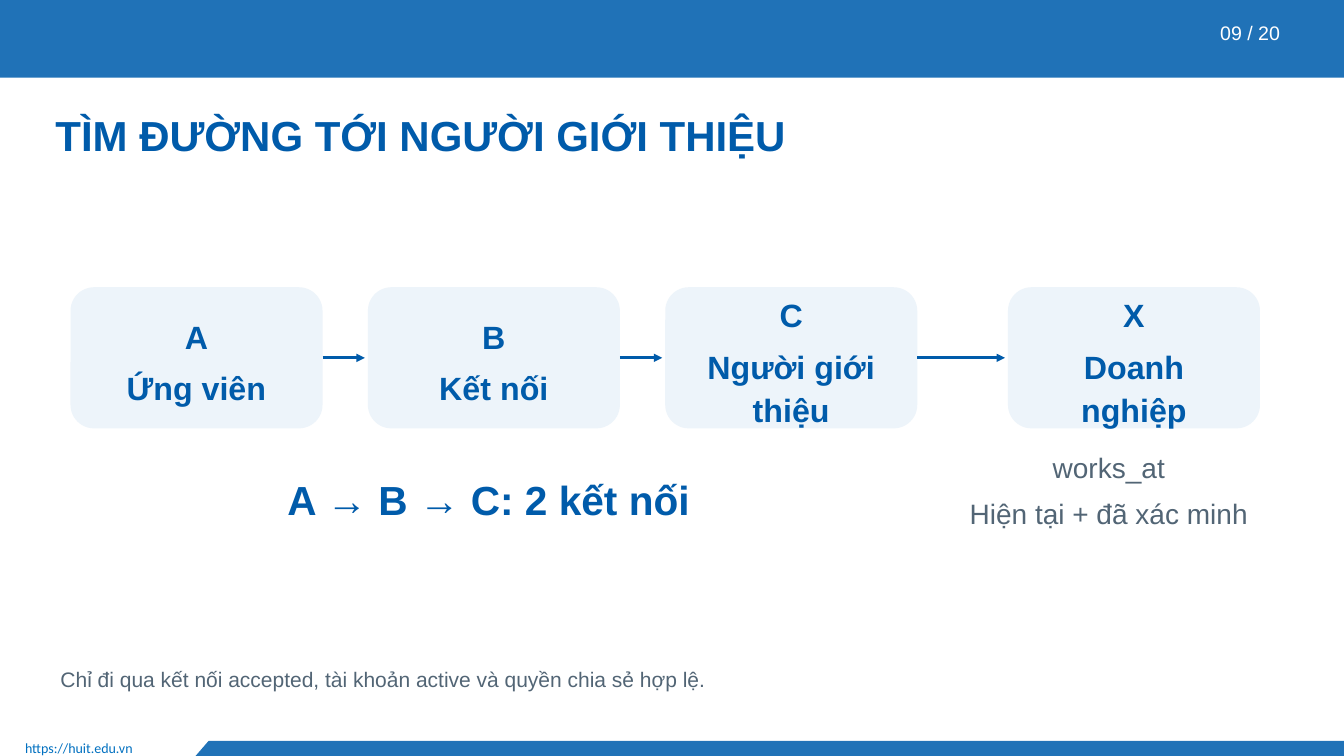
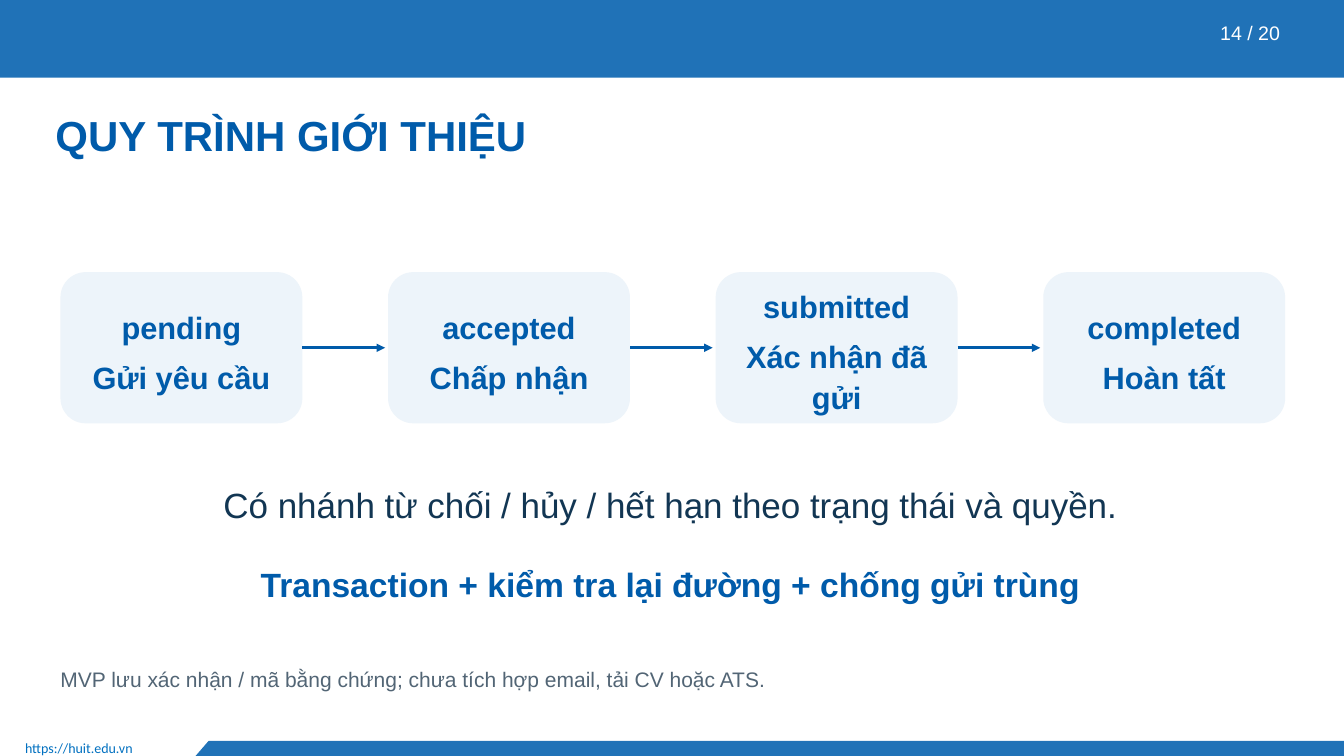
from collections import namedtuple

from lxml import etree
from pptx import Presentation
from pptx import util as u
from pptx.dml.color import RGBColor
from pptx.enum import shapes, text
from pptx.oxml.ns import qn

Box = namedtuple("Box", "left top width height")
CELL = u.Inches(0.1)
COLUMNS, ROWS = 133.33, 75
BAND, BLUE, LINK, PALE = "2072B7", "005BAA", "0070C0", "EDF4FA"
GREY, NAVY, WHITE = "526575", "123653", "FFFFFF"
LEFT, CENTER, RIGHT = text.PP_ALIGN.LEFT, text.PP_ALIGN.CENTER, text.PP_ALIGN.RIGHT
ARROW_GAP = 0.3


def cells(count):
    """Turn a number of grid cells into a length."""
    return u.Emu(round(count * CELL))


def color(value):
    """Turn a hex string into a colour."""
    return RGBColor.from_string(value)


def paint(shape, fill):
    """Give a shape a plain fill without line or shadow."""
    shape.shadow.inherit = False
    shape.fill.solid()
    shape.fill.fore_color.rgb = color(fill)
    shape.line.fill.background()


def set_margins(frame, left, top, right, bottom):
    """Set the four text insets in cells."""
    frame.margin_left, frame.margin_top = cells(left), cells(top)
    frame.margin_right, frame.margin_bottom = cells(right), cells(bottom)


def write(frame, lines, size, tone, bold=False, align=LEFT):
    """Fill a text frame with one paragraph for each line."""
    frame.word_wrap = True
    frame.text = "\n".join(lines)
    for para in frame.paragraphs:
        para.alignment = align
        para.line_spacing = 1.12
        para.space_after = u.Pt(6)
        para.font.name = "Arial"
        para.font.size = u.Pt(size)
        para.font.bold = bold
        para.font.color.rgb = color(tone)


def add_label(page, box, lines, size, tone, bold=False, align=LEFT):
    """Place a text box that grows with its text."""
    frame = page.shapes.add_textbox(*map(cells, box)).text_frame
    write(frame, lines, size, tone, bold, align)
    set_margins(frame, 0, 0, 0, 0.4)
    frame.auto_size = text.MSO_AUTO_SIZE.SHAPE_TO_FIT_TEXT


def add_node(page, box, lines, size):
    """Place one rounded step of a flow."""
    node = page.shapes.add_shape(shapes.MSO_SHAPE.ROUNDED_RECTANGLE, *map(cells, box))
    paint(node, PALE)
    write(node.text_frame, lines, size, BLUE, True, CENTER)
    set_margins(node.text_frame, 1.2, 0.8, 1.2, 0.4)
    node.text_frame.vertical_anchor = text.MSO_ANCHOR.MIDDLE
    return node


def add_arrow(page, node, start, end, middle):
    """Draw an arrow from the right side of a node."""
    arrow = page.shapes.add_connector(
        shapes.MSO_CONNECTOR.STRAIGHT, *map(cells, (start, middle, end, middle)))
    arrow.begin_connect(node, 3)
    arrow.line.color.rgb = color(BLUE)
    arrow.line.width = u.Pt(2)
    etree.SubElement(arrow.line._get_or_add_ln(), qn("a:tailEnd"), type="triangle")
    etree.SubElement(arrow.element.spPr, qn("a:effectLst"))


def add_flow(page, box, steps, gaps, size):
    """Spread equal steps over a box, with arrows in the gaps."""
    width = (box.width - sum(gaps)) / len(steps)
    middle = box.top + box.height / 2
    lefts = [box.left + i * width + sum(gaps[:i]) for i in range(len(steps))]
    nodes = [add_node(page, Box(left, box.top, width, box.height), lines, size)
             for left, lines in zip(lefts, steps)]
    for node, left, following in zip(nodes, lefts, lefts[1:]):
        add_arrow(page, node, left + width, following - ARROW_GAP, middle)


def add_footer(page, box, slant):
    """Draw the slanted bottom band and the web address beside it."""
    right, bottom = box.left + box.width, box.top + box.height
    outline = page.shapes.build_freeform(cells(box.left + slant), cells(box.top))
    outline.add_line_segments(
        [(cells(x), cells(y)) for x, y in
         ((right, box.top), (right, bottom), (box.left, bottom))], close=True)
    paint(outline.convert_to_shape(), BAND)
    address = page.shapes.add_textbox(
        *map(cells, (1.5, box.top - 0.6, box.left - 1.6, 2.8)))
    address.text_frame.word_wrap = True
    address.text_frame.text = "https://huit.edu.vn"
    font = address.text_frame.paragraphs[0].font
    font.name, font.size = "Calibri", u.Pt(10)
    font.color.rgb = color(LINK)


def prepare_layout(deck):
    """Put the shared bands on the blank layout and return it."""
    layout = deck.slide_layouts[6]
    for holder in list(layout.placeholders):
        holder.element.getparent().remove(holder.element)
    page = deck.slides.add_slide(layout)
    band = page.shapes.add_shape(
        shapes.MSO_SHAPE.RECTANGLE, *map(cells, (0, -0.1, COLUMNS, 7.8)))
    paint(band, BAND)
    add_footer(page, Box(19.4, ROWS - 1.5, COLUMNS - 19.4, 1.5), 1.3)
    for shape in list(page.shapes):
        layout.shapes.element.append(shape.element)
    return layout, page


def add_frame(page, title, number, note):
    """Write the title, page number and closing note."""
    add_label(page, Box(5.5, 10.3, 120.5, 7.2), [title], 30, BLUE, True)
    add_label(page, Box(116.5, 1.8, 10.5, 3.2), [number], 14, WHITE, align=RIGHT)
    add_label(page, Box(6, 65.8, 120, 3.8), [note], 15, GREY)


def build_path(page):
    """Build the slide on the path to a referrer."""
    add_frame(page, "TÌM ĐƯỜNG TỚI NGƯỜI GIỚI THIỆU", "09 / 20",
              "Chỉ đi qua kết nối accepted, tài khoản active và quyền chia sẻ hợp lệ.")
    steps = [("A", "Ứng viên"), ("B", "Kết nối"),
             ("C", "Người giới thiệu"), ("X", "Doanh nghiệp")]
    add_flow(page, Box(7, 28.5, 118, 14), steps, (4.5, 4.5, 9), 23)
    add_label(page, Box(21, 46.5, 55, 5.5), ["A → B → C: 2 kết nối"],
              29, BLUE, True, CENTER)
    add_label(page, Box(92, 44.3, 36, 11), ["works_at", "Hiện tại + đã xác minh"],
              20, GREY, align=CENTER)


def build_process(page):
    """Build the slide on the referral process."""
    add_frame(page, "QUY TRÌNH GIỚI THIỆU", "14 / 20",
              "MVP lưu xác nhận / mã bằng chứng; chưa tích hợp email, tải CV hoặc ATS.")
    steps = [("pending", "Gửi yêu cầu"), ("accepted", "Chấp nhận"),
             ("submitted", "Xác nhận đã gửi"), ("completed", "Hoàn tất")]
    add_flow(page, Box(6, 27, 121.5, 15), steps, (8.5, 8.5, 8.5), 22)
    add_label(page, Box(9.5, 47.5, 114, 6.2),
              ["Có nhánh từ chối / hủy / hết hạn theo trạng thái và quyền."],
              25, NAVY, align=CENTER)
    add_label(page, Box(9.5, 55.5, 114, 5),
              ["Transaction + kiểm tra lại đường + chống gửi trùng"],
              24, BLUE, True, CENTER)


def main():
    """Build and save the deck."""
    deck = Presentation()
    deck.slide_width, deck.slide_height = cells(COLUMNS), cells(ROWS)
    layout, first = prepare_layout(deck)
    build_path(first)
    build_process(deck.slides.add_slide(layout))
    deck.save("out.pptx")


if __name__ == "__main__":
    main()
